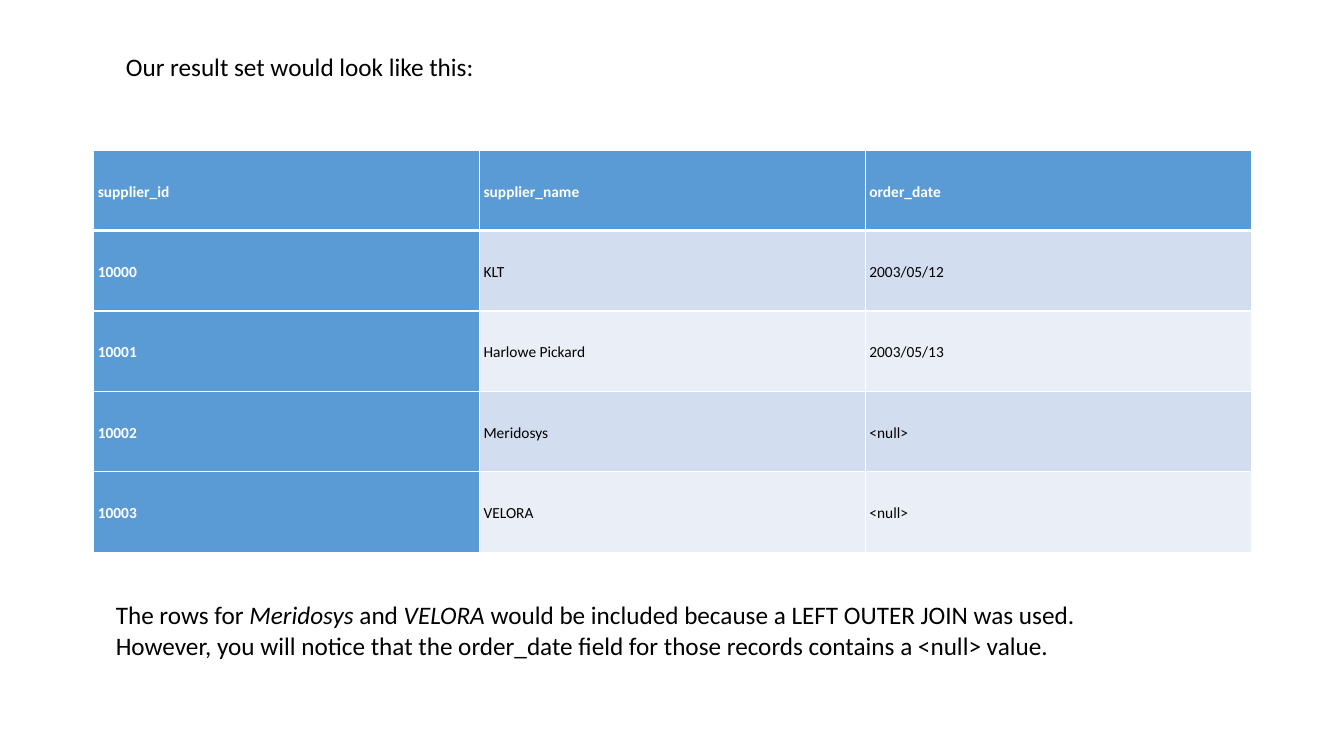
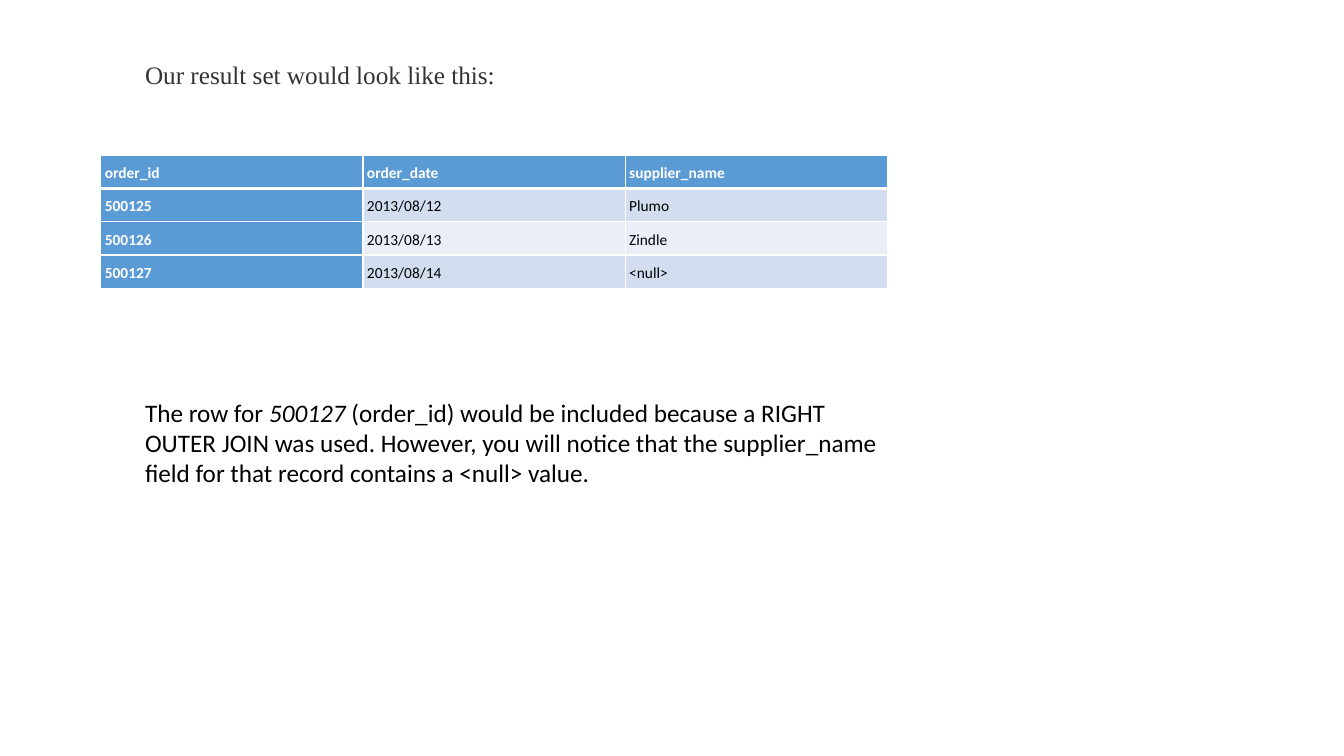
import pptx
import pptx.dml.color
import pptx.enum.text
import pptx.oxml
import pptx.oxml.ns
import pptx.util
from pptx.util import Inches

WHITE = pptx.dml.color.RGBColor(0xFF, 0xFF, 0xFF)
BLACK = pptx.dml.color.RGBColor(0x00, 0x00, 0x00)
CHARCOAL = pptx.dml.color.RGBColor(0x33, 0x33, 0x33)
HEADER_BLUE = pptx.dml.color.RGBColor(0x5B, 0x9B, 0xD5)
BANDS = (
    pptx.dml.color.RGBColor(0xD2, 0xDE, 0xEF),
    pptx.dml.color.RGBColor(0xEA, 0xEF, 0xF7),
)
BODY_FONT = "Calibri"
HEADING = "Our result set would look like this:"

SLIDES = [
    {
        "heading": {"box": (1.15, 0.46, 7.32, 0.71), "runs": [(HEADING, False)]},
        "table": {
            "box": (0.93, 1.49, 11.48, 3.99),
            "rows": [
                ("supplier_id", "supplier_name", "order_date"),
                ("10000", "KLT", "2003/05/12"),
                ("10001", "Harlowe Pickard", "2003/05/13"),
                ("10002", "Meridosys", "<null>"),
                ("10003", "VELORA", "<null>"),
            ],
        },
        "note": {
            "box": (1.05, 5.9, 10.26, 1.01),
            "runs": [
                ("The rows for ", False),
                ("Meridosys", True),
                (" and ", False),
                ("VELORA", True),
                (" would be included because a LEFT OUTER JOIN was used. However, you will "
                 "notice that the order_date field for those records contains a <null> value.", False),
            ],
        },
    },
    {
        "heading": {
            "box": (1.34, 0.62, 3.71, 1.34),
            "runs": [(HEADING, False)],
            "font": "Times New Roman",
            "color": CHARCOAL,
            "wrap": False,
            "line_spacing": pptx.util.Pt(16.1),
            "space_after": pptx.util.Pt(7.9),
        },
        "table": {
            "box": (1, 1.54, 7.8, 1.32),
            "rows": [
                ("order_id", "order_date", "supplier_name"),
                ("500125", "2013/08/12", "Plumo"),
                ("500126", "2013/08/13", "Zindle"),
                ("500127", "2013/08/14", "<null>"),
            ],
        },
        "note": {
            "box": (1.34, 3.89, 7.59, 1.31),
            "runs": [
                ("The row for ", False),
                ("500127", True),
                (" (order_id) would be included because a RIGHT OUTER JOIN was used. However, you "
                 "will notice that the supplier_name field for that record contains a <null> value.", False),
            ],
        },
    },
]


def add_run(paragraph, text, size, color, font=BODY_FONT, bold=False, italic=False):
    run = paragraph.add_run()
    run.text = text
    run.font.name = font
    run.font.size = pptx.util.Pt(size)
    run.font.color.rgb = color
    run.font.bold = bold
    run.font.italic = italic


def add_text(slide, box, runs, font=BODY_FONT, color=BLACK, wrap=True,
             line_spacing=None, space_after=None):
    frame = slide.shapes.add_textbox(*map(Inches, box)).text_frame
    frame.word_wrap = wrap
    frame.auto_size = pptx.enum.text.MSO_AUTO_SIZE.SHAPE_TO_FIT_TEXT
    paragraph = frame.paragraphs[0]
    paragraph.line_spacing = line_spacing
    paragraph.space_after = space_after
    for text, italic in runs:
        add_run(paragraph, text, 18, color, font, italic=italic)


def set_borders(cell, row_index):
    thick_side = {0: "B", 1: "T"}.get(row_index)
    properties = cell._tc.get_or_add_tcPr()
    for side in "LRTB":
        width = pptx.util.Pt(3 if side == thick_side else 1)
        properties.append(pptx.oxml.parse_xml(
            f'<a:ln{side} {pptx.oxml.ns.nsdecls("a")} w="{width}">'
            f'<a:solidFill><a:srgbClr val="{WHITE}"/></a:solidFill></a:ln{side}>'
        ))


def format_cell(cell, text, row_index, column_index):
    is_header = row_index == 0 or column_index == 0
    cell.margin_left = cell.margin_top = cell.margin_bottom = Inches(0.04)
    cell.margin_right = Inches(0.08)
    cell.vertical_anchor = pptx.enum.text.MSO_ANCHOR.MIDDLE
    set_borders(cell, row_index)
    cell.fill.solid()
    cell.fill.fore_color.rgb = HEADER_BLUE if is_header else BANDS[(row_index - 1) % 2]
    paragraph = cell.text_frame.paragraphs[0]
    paragraph.line_spacing = 1.15
    add_run(paragraph, text, 11, WHITE if is_header else BLACK, bold=is_header)


def add_result_table(slide, box, rows):
    table = slide.shapes.add_table(len(rows), len(rows[0]), *map(Inches, box)).table
    table.first_row = table.horz_banding = False
    for row_index, row in enumerate(rows):
        for column_index, text in enumerate(row):
            format_cell(table.cell(row_index, column_index), text, row_index, column_index)


def main():
    presentation = pptx.Presentation()
    presentation.slide_width = Inches(13.33)
    presentation.slide_height = Inches(7.5)
    for content in SLIDES:
        slide = presentation.slides.add_slide(presentation.slide_layouts[6])
        add_text(slide, **content["heading"])
        add_result_table(slide, **content["table"])
        add_text(slide, **content["note"])
    presentation.save("out.pptx")


if __name__ == "__main__":
    main()
